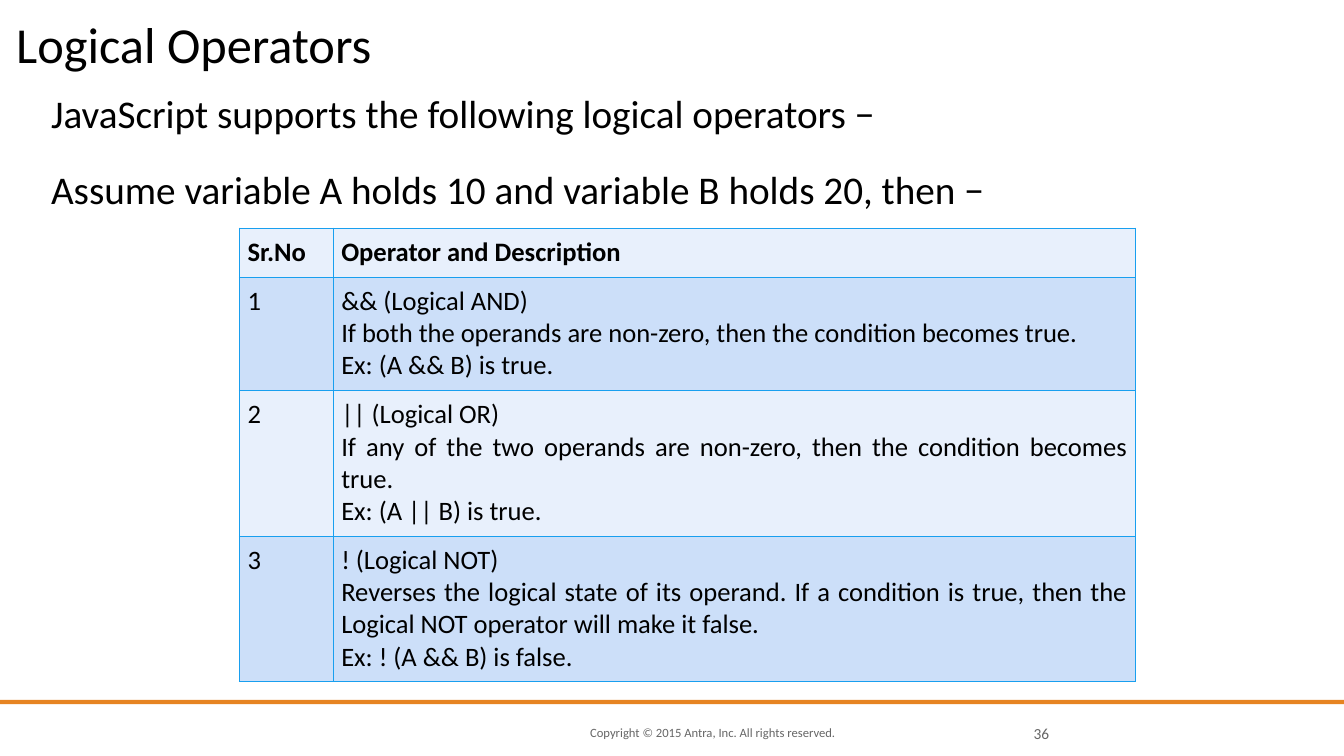
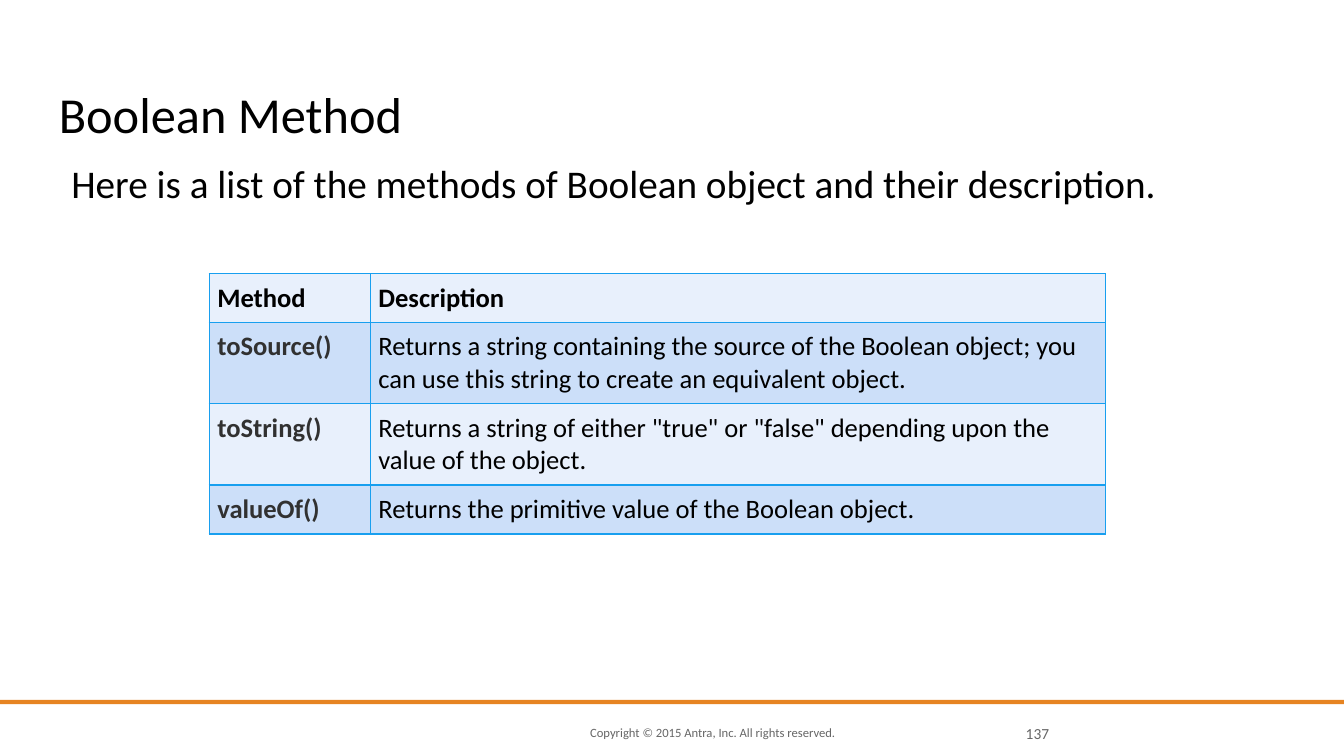
from dataclasses import dataclass

from lxml.etree import SubElement
from pptx import Presentation
from pptx.dml.color import RGBColor
from pptx.enum.shapes import MSO_SHAPE as Preset
from pptx.enum.text import MSO_ANCHOR as Anchor, MSO_AUTO_SIZE as AutoSize, PP_ALIGN as Align
from pptx.oxml.ns import qn
from pptx.slide import Slide
from pptx.table import _Cell as Cell
from pptx.text.text import TextFrame
from pptx.util import Pt


@dataclass(frozen=True)
class Theme:
    font: str = "Calibri"
    ink: str = "000000"
    method: str = "313131"
    muted: str = "666666"
    accent: str = "E68422"
    border: str = "189FEF"
    light_row: str = "E8F0FC"
    dark_row: str = "CCDFF9"
    title_size: float = 36
    body_size: float = 28
    table_size: float = 19
    number_size: float = 11
    copyright_size: float = 9


THEME = Theme()
TITLE_ONLY = 5
CELL_INSET = 5.8
COPYRIGHT = "Copyright © 2015 Antra, Inc. All rights reserved."


@dataclass(frozen=True)
class Box:
    left: float
    top: float
    width: float
    height: float

    def lengths(self) -> tuple[Pt, Pt, Pt, Pt]:
        return Pt(self.left), Pt(self.top), Pt(self.width), Pt(self.height)


@dataclass(frozen=True)
class TextStyle:
    size: float
    color: str = THEME.ink
    bold: bool = False
    align: Align = Align.LEFT
    line_spacing: float = 1.0
    space_before: float = 0


@dataclass(frozen=True)
class Column:
    width: float
    header: str
    style: TextStyle


@dataclass(frozen=True)
class Row:
    height: float
    cells: tuple[str, ...]


@dataclass(frozen=True)
class TableContent:
    left: float
    top: float
    columns: tuple[Column, ...]
    rows: tuple[Row, ...]


@dataclass(frozen=True)
class Page:
    number: int
    title: str
    title_box: Box
    body: str
    body_box: Box
    table: TableContent


TITLE = TextStyle(THEME.title_size, line_spacing=0.8)
BODY = TextStyle(THEME.body_size, line_spacing=0.9, space_before=24)
HEADER = TextStyle(THEME.table_size, bold=True)
CELL = TextStyle(THEME.table_size)
CELL_JUSTIFIED = TextStyle(THEME.table_size, align=Align.JUSTIFY)
METHOD = TextStyle(THEME.table_size, THEME.method, bold=True, align=Align.JUSTIFY)
COPYRIGHT_STYLE = TextStyle(THEME.copyright_size, THEME.muted)
NUMBER_STYLE = TextStyle(THEME.number_size, THEME.muted, align=Align.RIGHT)

PAGES = (
    Page(
        36,
        "Logical Operators",
        Box(11.5, 15, 876, 37.5),
        "JavaScript supports the following logical operators −\n"
        "Assume variable A holds 10 and variable B holds 20, then −",
        Box(36.5, 67.5, 883, 312),
        TableContent(
            171,
            163,
            (
                Column(67, "Sr.No", CELL),
                Column(573, "Operator and Description", CELL_JUSTIFIED),
            ),
            (
                Row(81, (
                    "1",
                    "&& (Logical AND)\n"
                    "If both the operands are non-zero, then the condition becomes true.\n"
                    "Ex: (A && B) is true.",
                )),
                Row(104, (
                    "2",
                    "|| (Logical OR)\n"
                    "If any of the two operands are non-zero, then the condition becomes true.\n"
                    "Ex: (A || B) is true.",
                )),
                Row(104, (
                    "3",
                    "! (Logical NOT)\n"
                    "Reverses the logical state of its operand. If a condition is true, "
                    "then the Logical NOT operator will make it false.\n"
                    "Ex: ! (A && B) is false.",
                )),
            ),
        ),
    ),
    Page(
        137,
        "Boolean Method",
        Box(42, 32, 876, 70),
        "Here is a list of the methods of Boolean object and their description.",
        Box(51, 117.5, 837, 312),
        TableContent(
            149.5,
            195.5,
            (
                Column(115, "Method", METHOD),
                Column(525, "Description", CELL),
            ),
            (
                Row(58, (
                    "toSource()",
                    "Returns a string containing the source of the Boolean object; "
                    "you can use this string to create an equivalent object.",
                )),
                Row(58, (
                    "toString()",
                    'Returns a string of either "true" or "false" depending upon '
                    "the value of the object.",
                )),
                Row(35, (
                    "valueOf()",
                    "Returns the primitive value of the Boolean object.",
                )),
            ),
        ),
    ),
)


def set_attributes(target: object, values: dict[str, object]) -> None:
    for name, value in values.items():
        setattr(target, name, value)


def write_text(frame: TextFrame, text: str, style: TextStyle) -> None:
    frame.text = text
    for index, paragraph in enumerate(frame.paragraphs):
        set_attributes(paragraph, {
            "alignment": style.align,
            "line_spacing": style.line_spacing,
            "space_before": Pt(style.space_before if index else 0),
            "space_after": Pt(0),
        })
        for run in paragraph.runs:
            set_attributes(run.font, {
                "name": THEME.font,
                "size": Pt(style.size),
                "bold": style.bold,
            })
            run.font.color.rgb = RGBColor.from_string(style.color)


def format_frame(frame: TextFrame, anchor: Anchor) -> None:
    set_attributes(frame, {
        "margin_left": 0,
        "margin_right": 0,
        "margin_top": 0,
        "margin_bottom": 0,
        "word_wrap": True,
        "auto_size": AutoSize.NONE,
        "vertical_anchor": anchor,
    })


def add_text(slide: Slide, box: Box, text: str, style: TextStyle, anchor: Anchor) -> None:
    frame = slide.shapes.add_textbox(*box.lengths()).text_frame
    format_frame(frame, anchor)
    write_text(frame, text, style)


def add_title(slide: Slide, box: Box, text: str) -> None:
    title = slide.shapes.title
    set_attributes(title, dict(zip(("left", "top", "width", "height"), box.lengths())))
    format_frame(title.text_frame, Anchor.BOTTOM)
    write_text(title.text_frame, text, TITLE)


def add_footer(slide: Slide, number: int) -> None:
    rule = slide.shapes.add_shape(Preset.RECTANGLE, *Box(0, 500, 960, 3).lengths())
    rule.shadow.inherit = False
    rule.fill.solid()
    rule.fill.fore_color.rgb = RGBColor.from_string(THEME.accent)
    rule.line.fill.background()
    add_text(slide, Box(421.5, 516, 220, 15), COPYRIGHT, COPYRIGHT_STYLE, Anchor.MIDDLE)
    add_text(slide, Box(719.5, 516, 30, 15), str(number), NUMBER_STYLE, Anchor.MIDDLE)


def add_borders(cell: Cell) -> None:
    properties = cell._tc.get_or_add_tcPr()
    for side in ("a:lnL", "a:lnR", "a:lnT", "a:lnB"):
        line = SubElement(properties, qn(side), w=str(Pt(1)))
        fill = SubElement(line, qn("a:solidFill"))
        SubElement(fill, qn("a:srgbClr"), val=THEME.border)


def fill_cell(cell: Cell, text: str, style: TextStyle, color: str) -> None:
    set_attributes(cell, {
        "margin_left": Pt(CELL_INSET),
        "margin_right": Pt(CELL_INSET),
        "margin_top": Pt(CELL_INSET),
        "margin_bottom": Pt(CELL_INSET),
        "vertical_anchor": Anchor.TOP,
    })
    add_borders(cell)
    cell.fill.solid()
    cell.fill.fore_color.rgb = RGBColor.from_string(color)
    write_text(cell.text_frame, text, style)


def add_table(slide: Slide, content: TableContent) -> None:
    columns = content.columns
    rows = (Row(35, tuple(column.header for column in columns)), *content.rows)
    box = Box(
        content.left,
        content.top,
        sum(column.width for column in columns),
        sum(row.height for row in rows),
    )
    table = slide.shapes.add_table(len(rows), len(columns), *box.lengths()).table
    set_attributes(table, {"first_row": False, "horz_banding": False})
    for index, column in enumerate(columns):
        table.columns[index].width = Pt(column.width)
    for row_index, row in enumerate(rows):
        table.rows[row_index].height = Pt(row.height)
        color = THEME.dark_row if row_index % 2 else THEME.light_row
        for column_index, text in enumerate(row.cells):
            style = columns[column_index].style if row_index else HEADER
            fill_cell(table.cell(row_index, column_index), text, style, color)


def main() -> None:
    presentation = Presentation()
    set_attributes(presentation, {"slide_width": Pt(960), "slide_height": Pt(540)})
    for page in PAGES:
        slide = presentation.slides.add_slide(presentation.slide_layouts[TITLE_ONLY])
        add_footer(slide, page.number)
        add_title(slide, page.title_box, page.title)
        add_text(slide, page.body_box, page.body, BODY, Anchor.TOP)
        add_table(slide, page.table)
    presentation.save("out.pptx")


if __name__ == "__main__":
    main()
